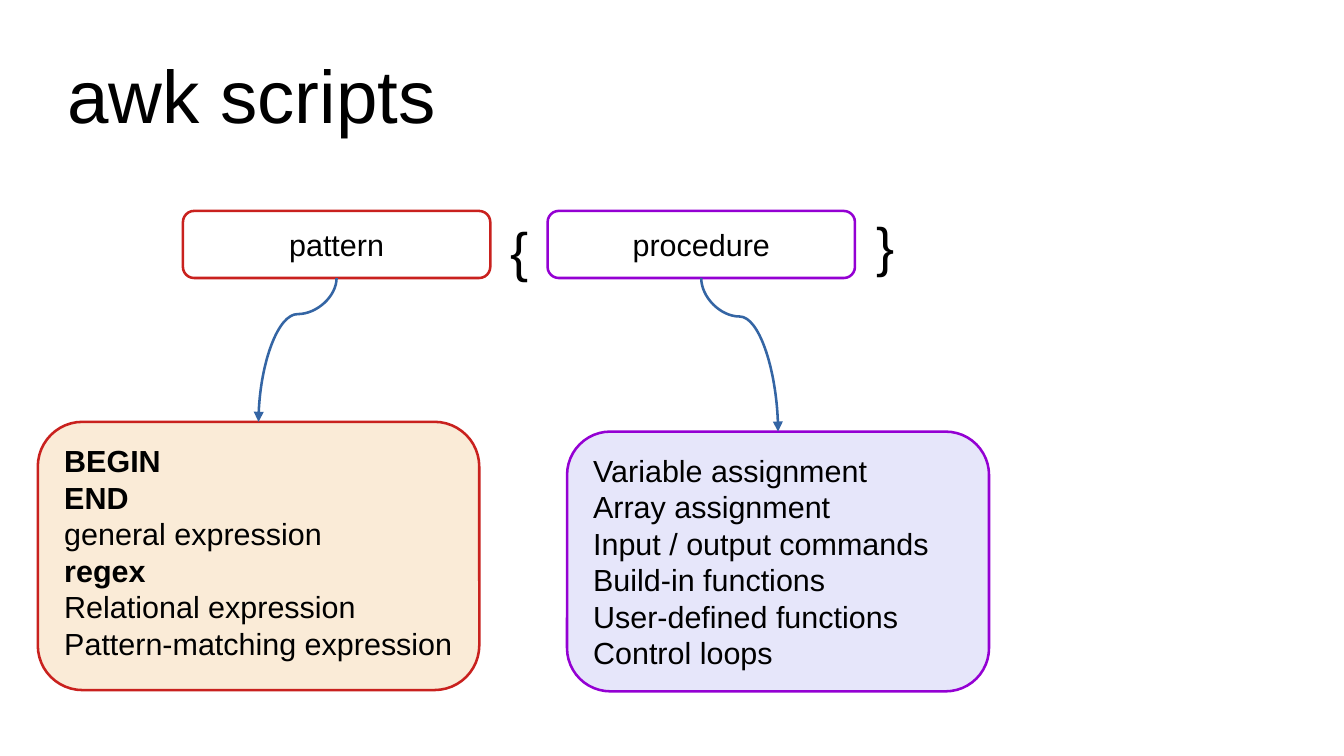
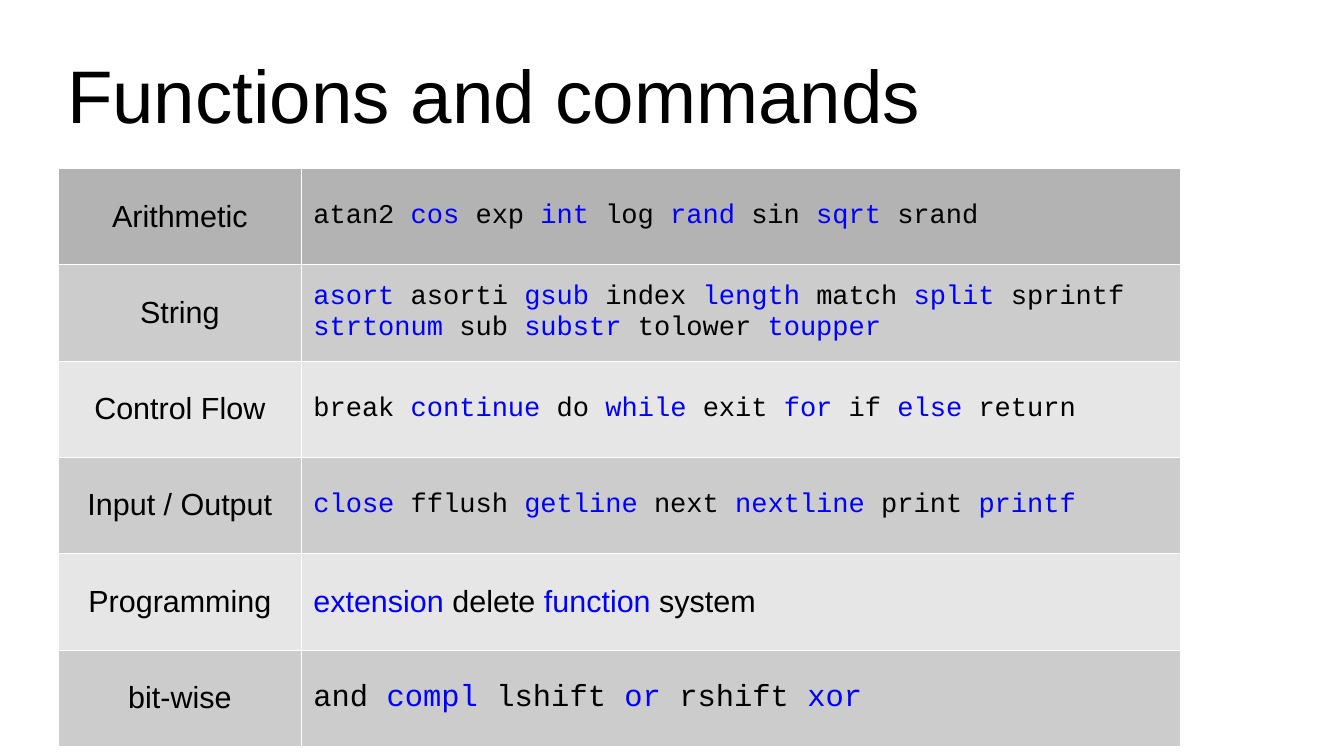
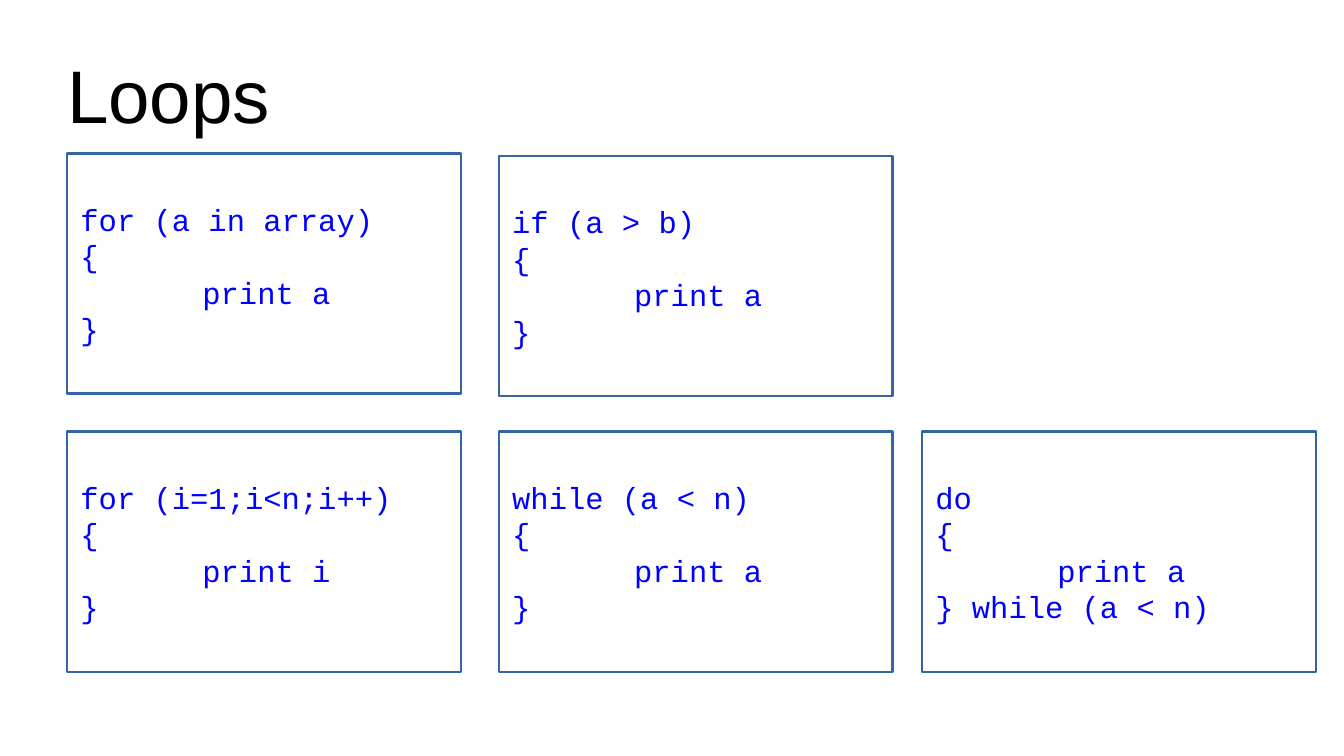
from dataclasses import dataclass, field
from itertools import cycle
from typing import Any

from pptx import Presentation
from pptx import util as u
from pptx.dml.color import RGBColor
from pptx.enum import shapes, text
from pptx.oxml import ns, parse_xml

HUES = {
    "ink": "000000", "code": "0000FF", "edge": "3465A4", "white": "FFFFFF",
    "red": "C9211E", "violet": "9400D3", "cream": "FAEBD7", "mist": "E6E6FA",
    "dark": "B3B3B3", "mid": "CCCCCC", "pale": "E6E6E6",
}
SANS, MONO = "Arial", "Courier New"
LEFT, MID = text.PP_ALIGN.LEFT, text.PP_ALIGN.CENTER
HIGH, HALF = text.MSO_ANCHOR.TOP, text.MSO_ANCHOR.MIDDLE
RECT, ROUND = shapes.MSO_SHAPE.RECTANGLE, shapes.MSO_SHAPE.ROUNDED_RECTANGLE
SIDES = ("left", "top", "right", "bottom")
THICK = u.Pt(1.5)


@dataclass
class Line:
    """One paragraph; each run is a pair of words and hue."""
    runs: list[tuple[str, str]]
    size: float = 18
    face: str = SANS
    bold: bool = False
    align: Any = LEFT
    indent: float = 0


@dataclass
class Box:
    at: tuple[float, float, float, float]
    lines: list[Line]
    edge: str = "edge"
    fill: str = ""
    form: Any = ROUND
    anchor: Any = HALF


@dataclass
class Row:
    """Commands alternate between ink and code hue, starting with first."""
    name: str
    words: str
    fill: str
    first: str = "ink"
    look: dict[str, Any] = field(default_factory=lambda: {"size": 16, "face": MONO})


def put(item: Any, **vals: Any) -> None:
    for key, val in vals.items():
        setattr(item, key, val)


def hue(name: str) -> RGBColor:
    return RGBColor.from_string(HUES[name])


def node(xml: str) -> Any:
    return parse_xml(xml.replace(" ", f" {ns.nsdecls('a')} ", 1))


def pad(*sizes: float) -> dict[str, Any]:
    return {f"margin_{side}": u.Inches(size) for side, size in zip(SIDES, sizes)}


def write(frame: Any, lines: list[Line]) -> None:
    for num, line in enumerate(lines):
        para = frame.add_paragraph() if num else frame.paragraphs[0]
        para.alignment = line.align
        if line.indent:
            props = para._p.get_or_add_pPr()
            props.set("marL", str(u.Inches(line.indent)))
            props.set("indent", "0")
        for words, tint in line.runs:
            run = para.add_run()
            run.text = words
            put(run.font, name=line.face, size=u.Pt(line.size), bold=line.bold)
            run.font.color.rgb = hue(tint)


def label(slide: Any, at: tuple[float, ...], words: str, size: float, **look: Any) -> None:
    frame = slide.shapes.add_textbox(*map(u.Inches, at)).text_frame
    put(frame, word_wrap=True, **look)
    write(frame, [Line([(words, "ink")], size)])


def page(deck: Any, title: str) -> Any:
    slide = deck.slides.add_slide(deck.slide_layouts[6])
    label(slide, (0.55, 0.25, 9.92, 1.04), title, 44,
          vertical_anchor=HALF, **pad(0, 0, 0, 0))
    return slide


def draw(slide: Any, box: Box) -> Any:
    shape = slide.shapes.add_shape(box.form, *map(u.Inches, box.at))
    shape.shadow.inherit = False
    if box.fill:
        shape.fill.solid()
        shape.fill.fore_color.rgb = hue(box.fill)
    else:
        shape.fill.background()
    shape.line.color.rgb = hue(box.edge)
    shape.line.width = THICK
    put(shape.text_frame, word_wrap=False, vertical_anchor=box.anchor,
        **pad(0.11, 0.06, 0.11, 0.06))
    write(shape.text_frame, box.lines)
    return shape


def bend(slide: Any, start: Any, end: Any) -> None:
    """Glue a curved arrow from the bottom of start to the top of end."""
    link = slide.shapes.add_connector(shapes.MSO_CONNECTOR.CURVE, 0, 0, 0, 0)
    link.begin_connect(start, 2)
    link.end_connect(end, 0)
    x1, y1, x2, y2 = link.begin_x, link.begin_y, link.end_x, link.end_y
    wide, high = y2 - y1, abs(x2 - x1)
    put(link, left=(x1 + x2 - wide) // 2, top=(y1 + y2 - high) // 2,
        width=wide, height=high)
    right = x2 > x1
    props = link._element.spPr
    turn = props.find(ns.qn("a:xfrm"))
    turn.set("rot", str((270 if right else 90) * 60000))
    turn.set("flipH", str(int(right)))
    props.find(".//" + ns.qn("a:avLst")).append(
        node('<a:gd name="adj1" fmla="val 25100"/>'))
    link.line.color.rgb = hue("edge")
    link.line.width = THICK
    link.line._get_or_add_ln().append(node('<a:tailEnd type="triangle"/>'))
    props.append(node("<a:effectLst />"))


def fill(cell: Any, tint: str, line: Line) -> None:
    props = cell._tc.get_or_add_tcPr()
    for side in "LRTB":
        props.append(node(f'<a:ln{side} w="762"><a:solidFill><a:srgbClr val="{HUES["white"]}"/>'
                          f"</a:solidFill></a:ln{side}>"))
    cell.fill.solid()
    cell.fill.fore_color.rgb = hue(tint)
    put(cell, vertical_anchor=HALF, **pad(0.1, 0.05, 0.1, 0.05))
    write(cell.text_frame, [line])


def grid(slide: Any, rows: list[Row]) -> None:
    cols, high = (1.99, 7.21), 0.79
    at = (0.48, 1.38, sum(cols), high * len(rows))
    table = slide.shapes.add_table(len(rows), 2, *map(u.Inches, at)).table
    put(table, first_row=False, horz_banding=False)
    for col, wide in zip(table.columns, cols):
        col.width = u.Inches(wide)
    for num, row in enumerate(rows):
        fill(table.cell(num, 0), row.fill, Line([(row.name, "ink")], align=MID))
        tints = cycle(("ink", "code") if row.first == "ink" else ("code", "ink"))
        words = row.words.split()
        gaps = [" "] * (len(words) - 1) + [""]
        runs = [(word + gap, tint) for word, gap, tint in zip(words, gaps, tints)]
        fill(table.cell(num, 1), row.fill, Line(runs, **row.look))


def scripts(deck: Any) -> None:
    slide = page(deck, "awk scripts")
    kinds = ("BEGIN", "END", "general expression", "regex",
             "Relational expression", "Pattern-matching expression")
    steps = ("Variable assignment", "Array assignment", "Input / output commands",
             "Build-in functions", "User-defined functions", "Control loops")
    strong = ("BEGIN", "END", "regex")
    parts = (
        ("pattern", 1.5, "red", "cream", (0.31, 3.46, 3.62, 2.2), kinds),
        ("procedure", 4.49, "violet", "mist", (4.65, 3.54, 3.46, 2.13), steps),
    )
    for name, left, edge, tint, at, items in parts:
        head = draw(slide, Box((left, 1.73, 2.52, 0.55),
                               [Line([(name, "ink")], align=MID)], edge))
        lines = [Line([(item, "ink")], bold=item in strong) for item in items]
        body = draw(slide, Box(at, lines, edge, tint, anchor=HIGH))
        bend(slide, head, body)
    for sign, left, top in (("{", 4.09, 1.73), ("}", 7.09, 1.69)):
        label(slide, (left, top, 0.47, 0.6), sign, 32)


def commands(deck: Any) -> None:
    grid(page(deck, "Functions and commands"), [
        Row("Arithmetic", "atan2 cos exp int log rand sin sqrt srand", "dark"),
        Row("String", "asort asorti gsub index length match split sprintf "
            "strtonum sub substr tolower toupper", "mid", "code"),
        Row("Control Flow", "break continue do while exit for if else return", "pale"),
        Row("Input / Output", "close fflush getline next nextline print printf",
            "mid", "code"),
        Row("Programming", "extension delete function system", "pale", "code", {}),
        Row("bit-wise", "and compl lshift or rshift xor", "mid", look={"face": MONO}),
    ])


def loops(deck: Any) -> None:
    slide = page(deck, "Loops")
    for left, top, head, var, tail in (
        (0.55, 1.26, "for (a in array)", "a", "}"),
        (0.55, 3.54, "for (i=1;i<n;i++)", "i", "}"),
        (4.09, 1.28, "if (a > b)", "a", "}"),
        (4.09, 3.54, "while (a < n)", "a", "}"),
        (7.56, 3.54, "do", "a", "} while (a < n)"),
    ):
        body = ((head, 0), ("{", 0), (f"print {var}", 1), (tail, 0))
        lines = [Line([(words, "code")], face=MONO, indent=step) for words, step in body]
        draw(slide, Box((left, top, 3.23, 1.97), lines, form=RECT))


def main() -> None:
    deck = Presentation()
    put(deck, slide_width=u.Inches(11.02), slide_height=u.Inches(6.2))
    for build in (scripts, commands, loops):
        build(deck)
    deck.save("out.pptx")


if __name__ == "__main__":
    main()
